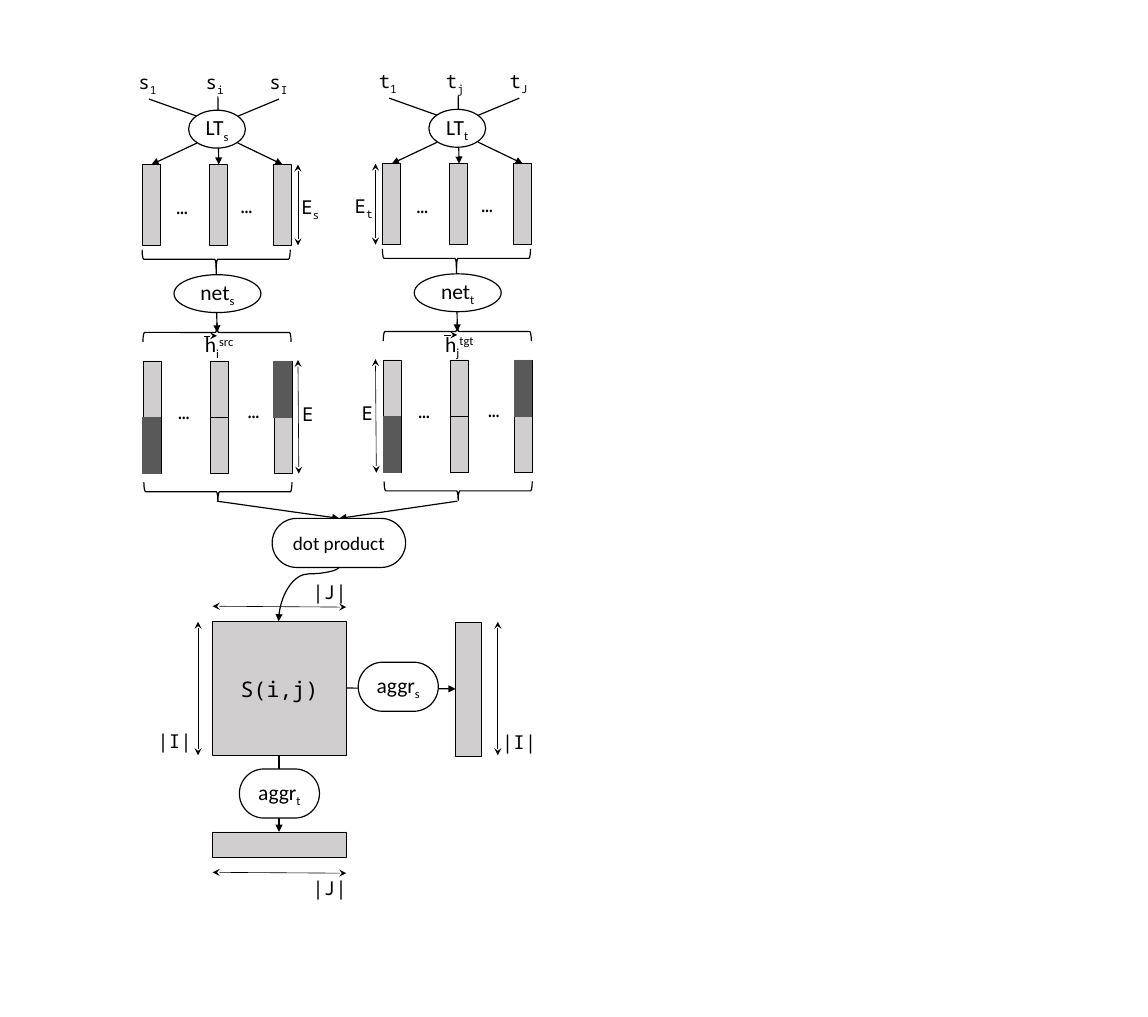
from lxml import etree
from pptx import Presentation
from pptx import util as u
from pptx.dml.color import RGBColor
from pptx.enum import shapes, text
from pptx.oxml.ns import qn

SHAPE = shapes.MSO_SHAPE
LINK = shapes.MSO_CONNECTOR
BLACK, WHITE, GREY, DARK = "000000", "FFFFFF", "D0CECE", "595959"
MONO, SANS = "Noto Sans Mono", "Calibri"
SHIFT = {"_": "-25000", "^": "30000"}


def color(code):
    return RGBColor.from_string(code)


class Board:
    """Draws on one slide, relative to a movable origin."""

    def __init__(self, slide):
        self.items = slide.shapes
        self.move(0, 0)

    def move(self, x, y):
        self.x, self.y = x, y

    def place(self, x, y):
        return u.Inches(self.x + x), u.Inches(self.y + y)

    def letter(self, frame, parts, font, size):
        """Fill a frame; a part led by _ is lowered, by ^ raised."""
        para = frame.paragraphs[0]
        para.font.name, para.font.size = font, u.Pt(size)
        para.font.color.rgb = color(BLACK)
        for part in parts:
            run = para.add_run()
            run.text = part.lstrip("_^")
            if part[0] in SHIFT:
                run._r.get_or_add_rPr().set("baseline", SHIFT[part[0]])
        return para

    def label(self, x, y, w, *parts, h=0.37, font=MONO, size=16):
        box = self.items.add_textbox(*self.place(x, y), u.Inches(w), u.Inches(h))
        box.text_frame.word_wrap = False
        box.text_frame.auto_size = text.MSO_AUTO_SIZE.SHAPE_TO_FIT_TEXT
        self.letter(box.text_frame, parts, font, size)

    def shape(self, kind, x, y, w, h, fill=None, edge=BLACK, width=1.0):
        item = self.items.add_shape(kind, *self.place(x, y), u.Inches(w), u.Inches(h))
        item.shadow.inherit = False
        if fill:
            item.fill.solid()
            item.fill.fore_color.rgb = color(fill)
        else:
            item.fill.background()
        item.line.color.rgb = color(edge)
        item.line.width = u.Pt(width)
        return item

    def bar(self, x, y, w, h):
        return self.shape(SHAPE.RECTANGLE, x, y, w, h, GREY, width=0.5)

    def brace(self, x, y, turn):
        item = self.shape(SHAPE.RIGHT_BRACE, x, y, 0.22, 1.72)
        item.rotation = turn

    def caption(self, item, *parts, font=SANS, size=18):
        frame = item.text_frame
        frame.word_wrap = False
        frame.vertical_anchor = text.MSO_ANCHOR.MIDDLE
        self.letter(frame, parts, font, size).alignment = text.PP_ALIGN.CENTER

    def oval(self, x, y, w, *parts):
        self.caption(self.shape(SHAPE.OVAL, x, y, w, 0.44, WHITE), *parts)

    def pill(self, x, y, w, *parts, size=18):
        item = self.shape(SHAPE.ROUNDED_RECTANGLE, x, y, w, 0.57, WHITE)
        item.adjustments[0] = 0.5
        self.caption(item, *parts, size=size)

    def line(self, x1, y1, x2, y2, head=None, tail=None, width=1.0,
             kind=LINK.STRAIGHT):
        item = self.items.add_connector(kind, *self.place(x1, y1), *self.place(x2, y2))
        item.line.color.rgb = color(BLACK)
        item.line.width = u.Pt(width)
        props = item._element.spPr
        stroke = props.find(qn("a:ln"))
        for tag, tip in (("a:headEnd", head), ("a:tailEnd", tail)):
            if tip:
                etree.SubElement(stroke, qn(tag), type=tip)
        etree.SubElement(props, qn("a:effectLst"))
        return item

    def arrow(self, *ends):
        self.line(*ends, tail="triangle")

    def span(self, *ends):
        self.line(*ends, head="stealth", tail="stealth", width=0.5)

    def curve(self, x, y, w, h, bend):
        """Curved arrow turned by a quarter, leaving downwards."""
        item = self.line(x, y, x + w, y + h, tail="triangle", kind=LINK.CURVE)
        props = item._element.spPr
        props.find(qn("a:xfrm")).set("rot", "5400000")
        guides = props.find(qn("a:prstGeom")).find(qn("a:avLst"))
        etree.SubElement(guides, qn("a:gd"), name="adj1", fmla=f"val {bend}")


def tower(board, side, marks, power, size, dims):
    """One encoder: words, lookup table, embeddings, network, states."""
    # Words and lookup table
    for x, mark in zip((1.51, 2.29, 3.03), marks):
        board.label(x, 0.77, 0.43, side, "_" + mark)
    board.line(2.29, 1.35, 1.73, 1.15)
    board.line(2.76, 1.35, 3.24, 1.15)
    board.arrow(2.29, 1.66, 1.76, 1.91)
    board.arrow(2.53, 1.12, 2.54, 1.91)
    board.arrow(2.76, 1.66, 3.28, 1.91)
    board.oval(2.19, 1.28, 0.66, "LT", "_" + side)

    # Embeddings
    for x in (1.65, 2.43, 3.17):
        board.bar(x, 1.91, 0.21, 0.94)
    for x, y in ((1.95, 2.22), (2.7, 2.21), (1.97, 4.6), (2.78, 4.59)):
        board.label(x, y, 0.37, "…")

    # Network
    board.brace(2.4, 2.15, 90)
    board.arrow(2.51, 3.07, 2.52, 3.86)
    board.oval(2.02, 3.19, 1.01, "net", "_" + side)

    # Hidden states, with the dark halves
    board.brace(2.41, 3, 270)
    for x in (1.66, 2.44, 3.18):
        board.bar(x, 4.19, 0.21, 1.31)
        board.line(x, 4.85, x + 0.21, 4.85, width=0.5)
    for x, y in ((1.66, 4.85), (3.18, 4.2)):
        board.shape(SHAPE.RECTANGLE, x, y, 0.2, 0.65, DARK, DARK)
    board.brace(2.42, 4.85, 90)
    board.label(2.28, 3.8, 0.57, "h", "_" + marks[1], "^" + power,
                h=0.4, font=SANS, size=18)
    board.line(2.37, 3.9, 2.52, 3.9, tail="stealth", width=0.5)

    # Heights
    rule, first, second = dims
    board.span(rule, 1.91, rule, 2.85)
    board.label(first, 2.22, 0.43, "E", "_" + size)
    board.span(rule, 4.18, rule + 0.01, 5.5)
    board.label(second, 4.62, 0.34, "E")


def main():
    deck = Presentation()
    deck.slide_width, deck.slide_height = u.Inches(13.33), u.Inches(11.81)
    board = Board(deck.slides.add_slide(deck.slide_layouts[6]))

    # Source and target encoders
    tower(board, "s", "1iI", "src", "s", (3.46, 3.4, 3.41))
    board.move(2.79, -0.01)
    tower(board, "t", "1jJ", "tgt", "t", (1.57, 1.23, 1.31))
    board.move(0, 0)

    # Dot product
    for x in (2.52, 5.31):
        board.arrow(x, 5.82, 3.94, 6.02)
    board.pill(3.16, 6.02, 1.55, "dot product", size=16)

    # Score matrix and its sums
    board.arrow(4.02, 7.99, 5.29, 8)
    board.arrow(3.24, 8.77, 3.24, 9.66)
    board.caption(board.bar(2.47, 7.22, 1.55, 1.55), "S(i,j)", font=MONO)
    board.pill(4.16, 7.69, 0.93, "aggr", "_s")
    board.pill(2.78, 8.93, 0.93, "aggr", "_t")
    board.bar(5.29, 7.23, 0.3, 1.55)
    board.bar(2.47, 9.66, 1.55, 0.3)
    board.curve(3.27, 6.55, 0.63, 0.7, 12600)

    # Sizes of matrix and sums
    for x, left, top in ((2.3, 1.73, 8.42), (5.78, 5.73, 8.43)):
        board.span(x, 7.22, x, 8.77)
        board.label(left, top, 0.61, "|I|")
    for y, top in ((7.04, 6.69), (10.13, 10.13)):
        board.span(2.47, y, 4.02, y + 0.01)
        board.label(3.53, top, 0.61, "|J|")

    deck.save("out.pptx")


if __name__ == "__main__":
    main()
